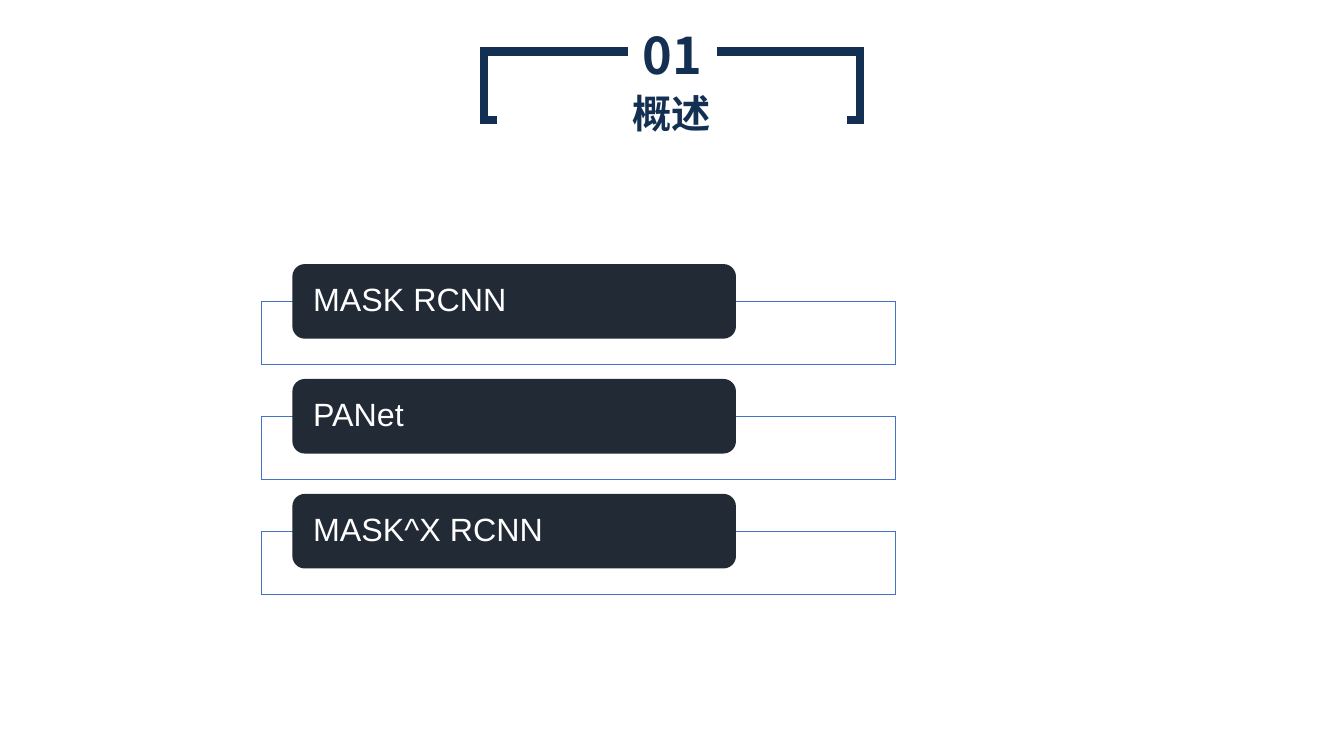
import pptx
import pptx.dml.color
import pptx.enum.shapes
import pptx.enum.text
import pptx.oxml
import pptx.oxml.ns
import pptx.util

RGBColor = pptx.dml.color.RGBColor
NAVY = RGBColor(0x13, 0x2F, 0x52)
CHARCOAL = RGBColor(0x22, 0x2A, 0x35)
BLUE = RGBColor(0x44, 0x72, 0xC4)
WHITE = RGBColor(0xFF, 0xFF, 0xFF)
RECTANGLE = pptx.enum.shapes.MSO_SHAPE.RECTANGLE
ROUNDED = pptx.enum.shapes.MSO_SHAPE.ROUNDED_RECTANGLE
ALIGN = pptx.enum.text.PP_ALIGN
CHINESE_FONT = "Noto Sans CJK SC"
EMU_PER_PX = 9144
TOPICS = ["MASK RCNN", "PANet", "MASK^X RCNN"]
FIRST_TOP = 262
ROW_PITCH = 114


def px(length):
    return pptx.util.Emu(length * EMU_PER_PX)


def element(tag, attributes):
    return pptx.oxml.parse_xml(f'<a:{tag} {pptx.oxml.ns.nsdecls("a")} {attributes}/>')


class SlideBuilder:
    """Draw styled elements on the current slide, measured in px."""

    def __init__(self, presentation):
        self.slide = presentation.slides.add_slide(presentation.slide_layouts[6])

    def box(self, kind, left, top, width, height, fill=None, line=None, line_width=0):
        shape = self.slide.shapes.add_shape(
            kind, px(left), px(top), px(width), px(height))
        shape.shadow.inherit = False
        if fill is None:
            shape.fill.background()
        else:
            shape.fill.solid()
            shape.fill.fore_color.rgb = fill
        if line is None:
            shape.line.fill.background()
        else:
            shape.line.color.rgb = line
            shape.line.width = pptx.util.Pt(line_width)
            outline = shape._element.spPr.find(pptx.oxml.ns.qn("a:ln"))
            outline.append(element("miter", 'lim="800000"'))
        return shape

    def add_text(self, shape, text, size, color, font, bold=False, align=ALIGN.LEFT):
        paragraph = shape.text_frame.paragraphs[0]
        paragraph.alignment = align
        run = paragraph.add_run()
        run.text = text
        run.font.size = pptx.util.Pt(size)
        run.font.bold = bold
        run.font.color.rgb = color
        run.font.name = font
        run._r.get_or_add_rPr().append(element("ea", f'typeface="{CHINESE_FONT}"'))
        return paragraph

    def heading(self, left, top, width, height, text, size, font):
        shape = self.box(RECTANGLE, left, top, width, height, WHITE)
        frame = shape.text_frame
        frame.word_wrap = True
        frame.auto_size = pptx.enum.text.MSO_AUTO_SIZE.SHAPE_TO_FIT_TEXT
        frame.vertical_anchor = pptx.enum.text.MSO_ANCHOR.TOP
        self.add_text(shape, text, size, NAVY, font, True, ALIGN.CENTER)

    def topic(self, top, text):
        self.box(RECTANGLE, 259, top + 37, 629, 63, WHITE, BLUE, 0.5)
        label = self.box(ROUNDED, 290, top, 440, 74, CHARCOAL)
        frame = label.text_frame
        frame.word_wrap = True
        frame.vertical_anchor = pptx.enum.text.MSO_ANCHOR.MIDDLE
        frame.margin_left = frame.margin_right = px(17)
        frame.margin_top = frame.margin_bottom = 0
        self.add_text(label, text, 23, WHITE, "Arial").line_spacing = 0.9


def main():
    presentation = pptx.Presentation()
    presentation.slide_width = px(1333)
    presentation.slide_height = px(750)
    builder = SlideBuilder(presentation)
    builder.box(RECTANGLE, 480, 51, 373, 68, line=NAVY, line_width=6)
    builder.heading(623, 19, 88, 71, "01", 36, CHINESE_FONT)
    builder.heading(493, 84, 347, 57, "概述", 28, "Arial")
    for row, text in enumerate(TOPICS):
        builder.topic(FIRST_TOP + row * ROW_PITCH, text)
    presentation.save("out.pptx")


if __name__ == "__main__":
    main()
